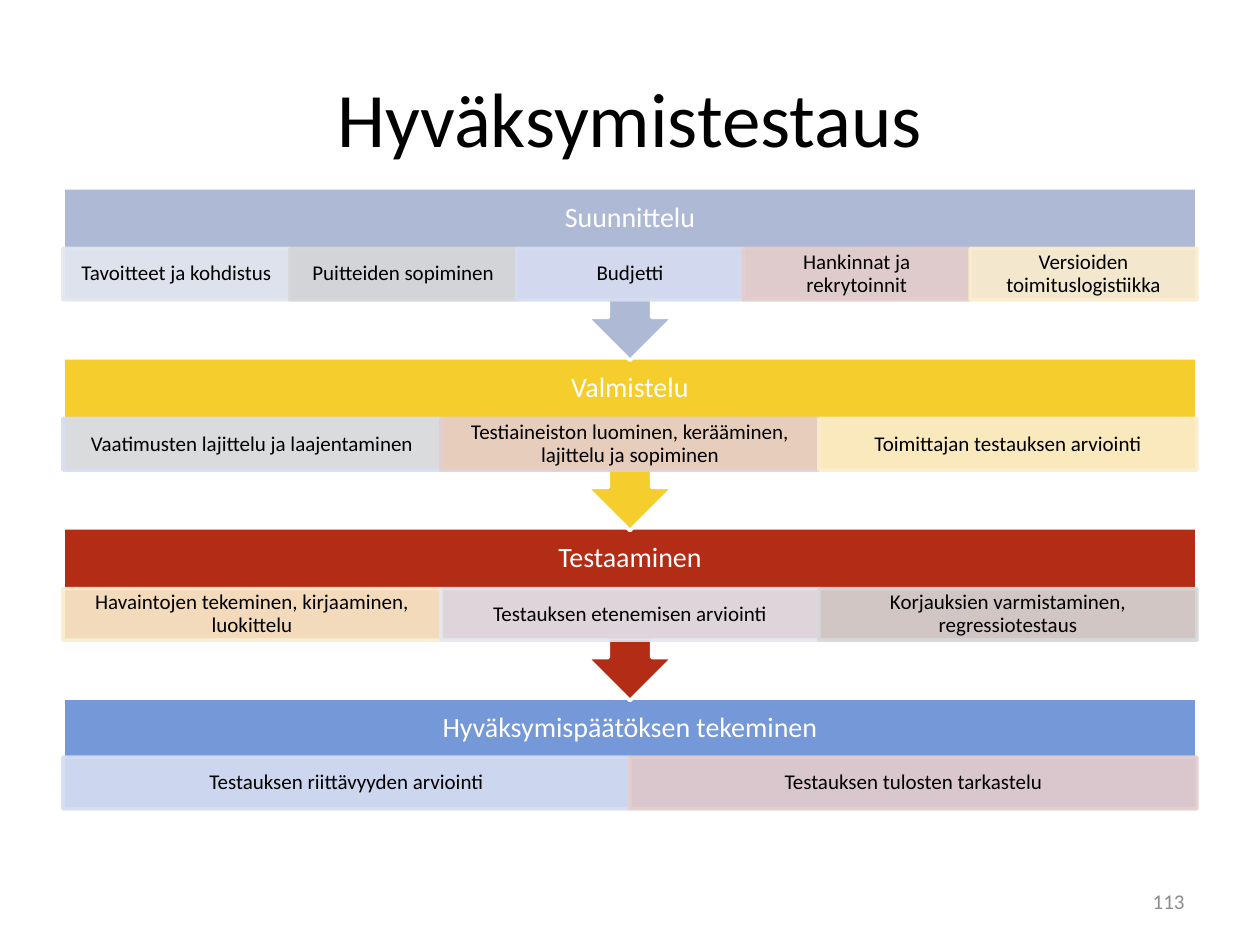
from dataclasses import dataclass

from lxml import etree
from pptx import Presentation
from pptx import util as u
from pptx.dml.color import RGBColor
from pptx.enum import shapes, text
from pptx.oxml.ns import qn


@dataclass(frozen=True)
class Theme:
    font: str = "Calibri"
    title_size: int = 44
    heading_size: int = 16
    body_size: int = 12
    ink: str = "000000"
    paper: str = "FFFFFF"
    muted: str = "8C8C8C"
    blue: str = "7598D9"
    red: str = "B32C16"
    yellow: str = "F5CD2D"
    lavender: str = "AEBAD5"
    pale_lavender: str = "E3E7EF"
    pale_grey: str = "D6D7D9"
    pale_blue: str = "D6DDF1"
    pale_red: str = "E5CDCC"
    pale_yellow: str = "FBEDCD"
    border: int = 2
    cell_opacity: int = 90


class Painter:
    def __init__(self, page, theme):
        self.page = page
        self.theme = theme

    def set_text(self, box, words, size, color, align=text.PP_ALIGN.CENTER,
                 insets=(7.2, 3.6), spacing=None):
        frame = box.text_frame
        frame.word_wrap = True
        frame.vertical_anchor = text.MSO_ANCHOR.MIDDLE
        frame.margin_left = frame.margin_right = u.Pt(insets[0])
        frame.margin_top = frame.margin_bottom = u.Pt(insets[1])
        para = frame.paragraphs[0]
        para.text = words
        para.alignment = align
        para.line_spacing = spacing
        para.font.name = self.theme.font
        para.font.size = u.Pt(size)
        para.font.color.rgb = RGBColor.from_string(color)

    def label(self, area, words, size, color, **style):
        box = self.page.shapes.add_textbox(*map(u.Pt, area))
        self.set_text(box, words, size, color, **style)

    def block(self, kind, area, fill, line):
        shape = self.page.shapes.add_shape(kind, *map(u.Pt, area))
        shape.shadow.inherit = False
        shape.fill.solid()
        shape.fill.fore_color.rgb = RGBColor.from_string(fill)
        shape.line.color.rgb = RGBColor.from_string(line)
        shape.line.width = u.Pt(self.theme.border)
        return shape

    def cell(self, area, words, color):
        shape = self.block(shapes.MSO_SHAPE.RECTANGLE, area, color, color)
        for tone in shape._element.spPr.iter(qn("a:srgbClr")):
            etree.SubElement(tone, qn("a:alpha"),
                             val=str(self.theme.cell_opacity * 1000))
        self.set_text(shape, words, self.theme.body_size, self.theme.ink,
                      insets=(6.5, 1.4), spacing=0.9)

    def stage(self, top, heading, color, cells, is_last):
        # Coloured band, with an arrow down to the next stage
        if is_last:
            self.block(shapes.MSO_SHAPE.RECTANGLE, (LEFT, top, WIDTH, 64.2),
                       color, self.theme.paper)
        else:
            band = self.block(shapes.MSO_SHAPE.UP_ARROW_CALLOUT,
                              (LEFT, top, WIDTH, 98.7),
                              color, self.theme.paper)
            band.rotation = 180
        self.label((LEFT, top, WIDTH, 34.6), heading, self.theme.heading_size,
                   self.theme.paper, insets=(8.6, 8.6), spacing=0.9)

        # Equal cells across the band
        cell_top = top + (33.8 if is_last else 34.6)
        cell_width = WIDTH / len(cells)
        for column, (words, tint) in enumerate(cells):
            self.cell((LEFT + column * cell_width, cell_top, cell_width, 29.5),
                      words, tint)


LEFT, WIDTH = 36, 648
FIRST_TOP, PITCH = 107.3, 97.2


def main():
    theme = Theme()
    deck = Presentation()
    deck.slide_width, deck.slide_height = u.Pt(720), u.Pt(540)
    page = deck.slides.add_slide(deck.slide_layouts[6])
    painter = Painter(page, theme)

    # Title
    painter.label((LEFT, 21.6, WIDTH, 90), "Hyväksymistestaus",
                  theme.title_size, theme.ink)

    # Stages, drawn bottom up so that each arrow overlaps the next band
    stages = [
        ("Suunnittelu", theme.lavender, [
            ("Tavoitteet ja kohdistus", theme.pale_lavender),
            ("Puitteiden sopiminen", theme.pale_grey),
            ("Budjetti", theme.pale_blue),
            ("Hankinnat ja rekrytoinnit", theme.pale_red),
            ("Versioiden toimituslogistiikka", theme.pale_yellow)]),
        ("Valmistelu", theme.yellow, [
            ("Vaatimusten lajittelu ja laajentaminen", theme.pale_blue),
            ("Testiaineiston luominen, kerääminen, lajittelu ja sopiminen",
             theme.pale_red),
            ("Toimittajan testauksen arviointi", theme.pale_yellow)]),
        ("Testaaminen", theme.red, [
            ("Havaintojen tekeminen, kirjaaminen, luokittelu",
             theme.pale_yellow),
            ("Testauksen etenemisen arviointi", theme.pale_lavender),
            ("Korjauksien varmistaminen, regressiotestaus",
             theme.pale_grey)]),
        ("Hyväksymispäätöksen tekeminen", theme.blue, [
            ("Testauksen riittävyyden arviointi", theme.pale_blue),
            ("Testauksen tulosten tarkastelu", theme.pale_red)]),
    ]
    last = len(stages) - 1
    for row in range(last, -1, -1):
        painter.stage(FIRST_TOP + row * PITCH, *stages[row], row == last)

    # Page number
    painter.label((516, 500.5, 168, 28.8), "113", theme.body_size, theme.muted,
                  align=text.PP_ALIGN.RIGHT)

    deck.save("out.pptx")


if __name__ == "__main__":
    main()
